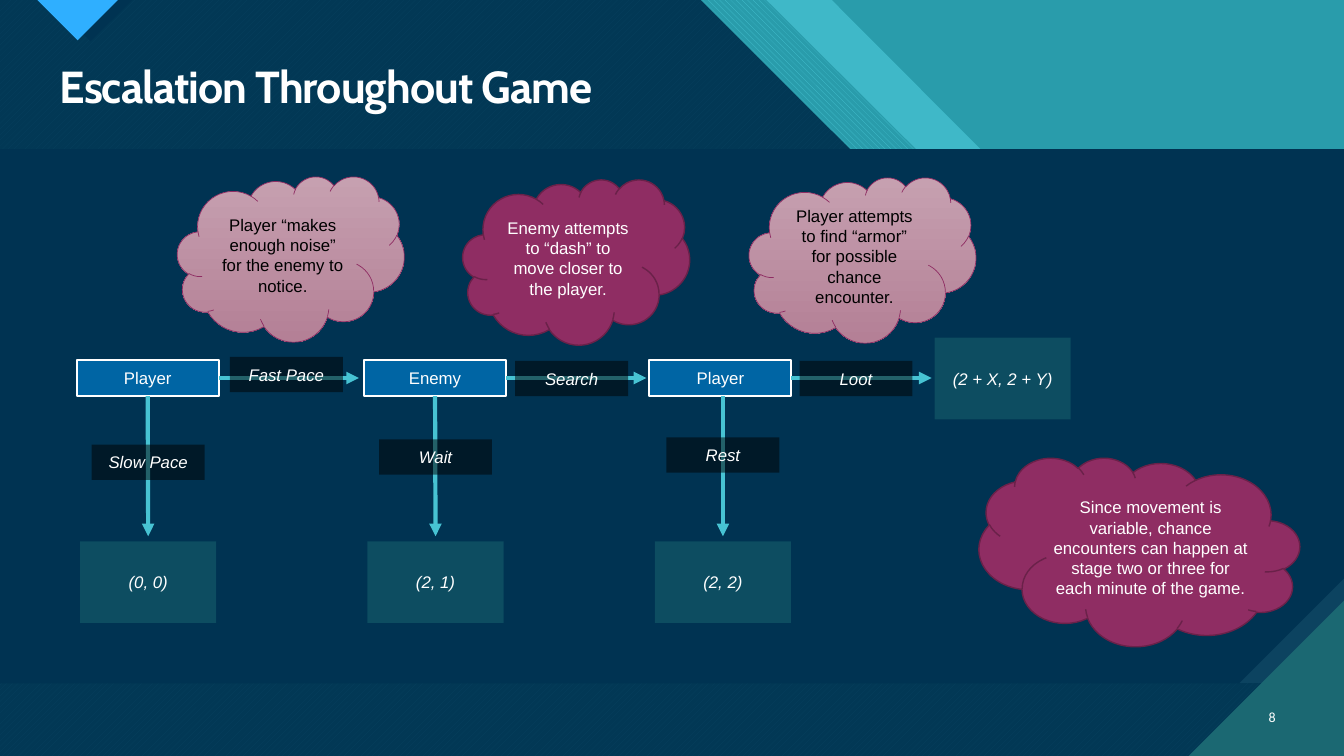
from dataclasses import dataclass

from lxml.etree import SubElement
from pptx import Presentation
from pptx.dml.color import RGBColor
from pptx.enum.dml import MSO_PATTERN
from pptx.enum.shapes import MSO_CONNECTOR, MSO_SHAPE
from pptx.enum.text import MSO_ANCHOR, PP_ALIGN
from pptx.oxml.ns import qn
from pptx.shapes.autoshape import Shape
from pptx.slide import Slide
from pptx.text.text import TextFrame
from pptx.util import Inches, Pt

Point = tuple[float, float]


@dataclass(frozen=True)
class Theme:
    navy: str = "003352"
    strip: str = "0C4360"
    teal: str = "299CAB"
    aqua: str = "47C3D3"
    deep_teal: str = "1B6872"
    result: str = "1A6871"
    sky: str = "2FAFFF"
    actor: str = "0065A4"
    plum: str = "8F2D63"
    plum_edge: str = "6A2149"
    rose_top: str = "C6A0B0"
    rose_bottom: str = "B48096"
    white: str = "FFFFFF"
    black: str = "000000"
    heading_font: str = "Cabin"
    body_font: str = "Arial"
    number_font: str = "Calibri"
    heading_size: int = 32
    body_size: int = 12
    number_size: int = 10


THEME = Theme()


@dataclass(frozen=True)
class Panel:
    """A flat area of the backdrop; a hatch colour makes it a pattern."""
    points: tuple[Point, ...]
    color: str
    opacity: int = 100
    hatch: str = ""
    pattern: MSO_PATTERN = MSO_PATTERN.WIDE_UPWARD_DIAGONAL


@dataclass(frozen=True)
class Stage:
    """One actor, with the choice that ends the run and the one that goes on."""
    actor: str
    left: float
    stop: str
    stop_top: float
    outcome: str
    onward: str
    onward_left: float
    onward_top: float


@dataclass(frozen=True)
class Cloud:
    text: str
    left: float
    top: float
    width: float = 2.25
    height: float = 1.64
    pale: bool = False
    flipped: bool = False
    margin: float = 0.1


DARK_AREA = ((0, 0), (6.95, 0), (9.92, 2.97), (11.18, 2.97),
             (13.33, 5.13), (13.33, 7.5), (0, 7.5))
PANELS = (
    Panel(((0, 0), (8.25, 0), (11.22, 2.98), (12.34, 2.98), (13.33, 3.97),
           (13.33, 7.5), (0, 7.5)), THEME.aqua, opacity=74),
    Panel(((0.66, 0), (7.6, 0), (10.58, 2.97), (11.84, 2.97), (13.33, 4.47),
           (13.33, 7.5), (0.66, 7.5)), THEME.teal, hatch=THEME.aqua,
          pattern=MSO_PATTERN.WIDE_DOWNWARD_DIAGONAL),
    Panel(DARK_AREA, THEME.deep_teal, hatch=THEME.aqua),
    Panel(DARK_AREA, THEME.navy, opacity=90),
    Panel(((0.48, 0), (0.9, 0.41), (1.31, 0)), THEME.navy),
    Panel(((0.37, 0), (0.77, 0.4), (1.17, 0)), THEME.sky),
    Panel(((0, 1.48), (13.33, 1.48), (13.33, 6.78), (0, 6.78)), THEME.strip),
    Panel(((0, 1.48), (13.33, 1.48), (13.33, 5.74), (12.29, 6.78), (0, 6.78)),
          THEME.navy),
    Panel(((11.79, 7.5), (13.33, 7.5), (13.33, 5.96)), THEME.deep_teal),
)
STAGES = (
    Stage("Player", 0.76, "Slow Pace", 4.41, "(0, 0)", "Fast Pace", 2.28, 3.54),
    Stage("Enemy", 3.61, "Wait", 4.36, "(2, 1)", "Search", 5.11, 3.58),
    Stage("Player", 6.44, "Rest", 4.34, "(2, 2)", "Loot", 7.93, 3.58),
)
CLOUDS = (
    Cloud("Player “makes enough noise” for the enemy to notice.", 1.76, 1.75, pale=True),
    Cloud("Enemy attempts to “dash” to move closer to the player.", 4.59, 1.78),
    Cloud("Player attempts to find “armor” for possible chance encounter.",
          7.43, 1.76, pale=True),
    Cloud("Since movement is variable, chance encounters can happen at stage two or three "
          "for each minute of the game.", 9.71, 4.54, 3.18, 1.87, flipped=True, margin=0.05),
)
ACTOR_SIZE = (1.41, 0.36)
CHOICE_SIZE = (1.12, 0.35)
RESULT_SIZE = (1.35, 0.81)
ACTOR_TOP = 3.57
ARROW_REACH = 1.39
FIRST_BRANCH, BRANCH_STEP = 1.47, 2.85


def rgb(color: str) -> RGBColor:
    return RGBColor.from_string(color)


def fill_solid(shape: Shape, color: str, opacity: int = 100) -> None:
    shape.fill.solid()
    shape.fill.fore_color.rgb = rgb(color)
    if opacity < 100:
        tint = shape.element.spPr.find(qn("a:solidFill"))[0]
        SubElement(tint, qn("a:alpha"), val=str(opacity * 1000))


def outline(shape: Shape, color: str, width: float) -> None:
    shape.line.color.rgb = rgb(color)
    shape.line.width = Pt(width)


def write(frame: TextFrame, text: str, color: str = THEME.white,
          size: int = THEME.body_size, font: str = THEME.body_font,
          align: PP_ALIGN = PP_ALIGN.CENTER, italic: bool = False,
          bold: bool = False) -> None:
    frame.word_wrap = True
    frame.vertical_anchor = MSO_ANCHOR.MIDDLE
    frame.text = text
    para = frame.paragraphs[0]
    para.alignment = align
    para.font.name, para.font.size = font, Pt(size)
    para.font.italic, para.font.bold = italic, bold
    para.font.color.rgb = rgb(color)


def add_panel(page: Slide, panel: Panel) -> None:
    start, *others = [(round(x * 100), round(y * 100)) for x, y in panel.points]
    builder = page.shapes.build_freeform(*start, scale=Inches(0.01))
    builder.add_line_segments(others)
    shape = builder.convert_to_shape()
    shape.shadow.inherit = False
    shape.line.fill.background()
    if panel.hatch:
        shape.fill.patterned()
        shape.fill.pattern = panel.pattern
        shape.fill.fore_color.rgb = rgb(panel.hatch)
        shape.fill.back_color.rgb = rgb(panel.color)
    else:
        fill_solid(shape, panel.color, panel.opacity)


def add_box(page: Slide, text: str, left: float, top: float, size: Point,
            color: str, opacity: int = 50, italic: bool = True) -> Shape:
    box = page.shapes.add_shape(MSO_SHAPE.RECTANGLE, *map(Inches, (left, top, *size)))
    box.shadow.inherit = False
    fill_solid(box, color, opacity)
    box.line.fill.background()
    write(box.text_frame, text, italic=italic)
    return box


def add_arrow(page: Slide, start: Point, end: Point, source: Shape, side: int) -> None:
    """Draw an arrow, joined to its source where it starts at the middle of that side."""
    arrow = page.shapes.add_connector(MSO_CONNECTOR.STRAIGHT, *map(Inches, (*start, *end)))
    off_center = abs(arrow.begin_x - source.left - source.width / 2)
    if side == 3 or off_center < Inches(0.01):
        arrow.begin_connect(source, side)
    arrow.line.color.rgb = rgb(THEME.aqua)
    arrow.line.width = Pt(3)
    SubElement(arrow.element.spPr.find(qn("a:ln")), qn("a:tailEnd"), type="triangle")
    SubElement(arrow.element.spPr, qn("a:effectLst"))


def add_stage(page: Slide, stage: Stage, branch: float) -> None:
    """Draw a stage whose downward branch is centred on the given x."""
    width, height = ACTOR_SIZE
    actor = add_box(page, stage.actor, stage.left, ACTOR_TOP, ACTOR_SIZE,
                    THEME.actor, opacity=100, italic=False)
    outline(actor, THEME.white, 1.5)
    right, middle = stage.left + width, ACTOR_TOP + height / 2
    add_arrow(page, (branch, ACTOR_TOP + height), (branch, 5.32), actor, 2)
    add_arrow(page, (right, middle), (right + ARROW_REACH, middle), actor, 3)
    add_box(page, stage.stop, branch - CHOICE_SIZE[0] / 2, stage.stop_top,
            CHOICE_SIZE, THEME.black)
    add_box(page, stage.onward, stage.onward_left, stage.onward_top, CHOICE_SIZE, THEME.black)
    add_box(page, stage.outcome, branch - RESULT_SIZE[0] / 2, 5.37, RESULT_SIZE, THEME.result)


def add_cloud(page: Slide, cloud: Cloud) -> None:
    shape = page.shapes.add_shape(
        MSO_SHAPE.CLOUD, *map(Inches, (cloud.left, cloud.top, cloud.width, cloud.height)))
    shape.shadow.inherit = False
    if cloud.pale:
        shape.fill.gradient()
        shape.fill.gradient_angle = 270
        for stop, color in zip(shape.fill.gradient_stops, (THEME.rose_top, THEME.rose_bottom)):
            stop.color.rgb = rgb(color)
        outline(shape, THEME.plum, 0.5)
    else:
        fill_solid(shape, THEME.plum)
        outline(shape, THEME.plum_edge, 1)
    if cloud.flipped:
        shape.element.spPr.find(qn("a:xfrm")).set("flipH", "1")
    frame = shape.text_frame
    frame.margin_left = frame.margin_right = Inches(cloud.margin)
    write(frame, cloud.text, THEME.black if cloud.pale else THEME.white)


def add_heading(page: Slide) -> None:
    """Format the title and bring it in front of the backdrop."""
    title = page.shapes.title
    title.left, title.top, title.width, title.height = map(Inches, (0.49, 0.59, 12.26, 0.59))
    write(title.text_frame, "Escalation Throughout Game", size=THEME.heading_size,
          font=THEME.heading_font, align=PP_ALIGN.LEFT, bold=True)
    title.text_frame.paragraphs[0].line_spacing = 0.9
    next(title.element.iter(qn("a:defRPr"))).set("spc", "-70")
    title.element.getparent().append(title.element)


def main() -> None:
    deck = Presentation()
    deck.slide_width, deck.slide_height = Inches(13.33), Inches(7.5)
    page = deck.slides.add_slide(deck.slide_layouts[5])
    page.background.fill.solid()
    page.background.fill.fore_color.rgb = rgb(THEME.teal)
    for panel in PANELS:
        add_panel(page, panel)
    add_heading(page)
    number = page.shapes.add_textbox(*map(Inches, (12.31, 6.91, 0.44, 0.4)))
    write(number.text_frame, "8", size=THEME.number_size, font=THEME.number_font,
          align=PP_ALIGN.RIGHT)
    for index, stage in enumerate(STAGES):
        add_stage(page, stage, FIRST_BRANCH + index * BRANCH_STEP)
    add_box(page, "(2 + X, 2 + Y)", 9.27, 3.35, RESULT_SIZE, THEME.result)
    for cloud in CLOUDS:
        add_cloud(page, cloud)
    deck.save("out.pptx")


if __name__ == "__main__":
    main()
